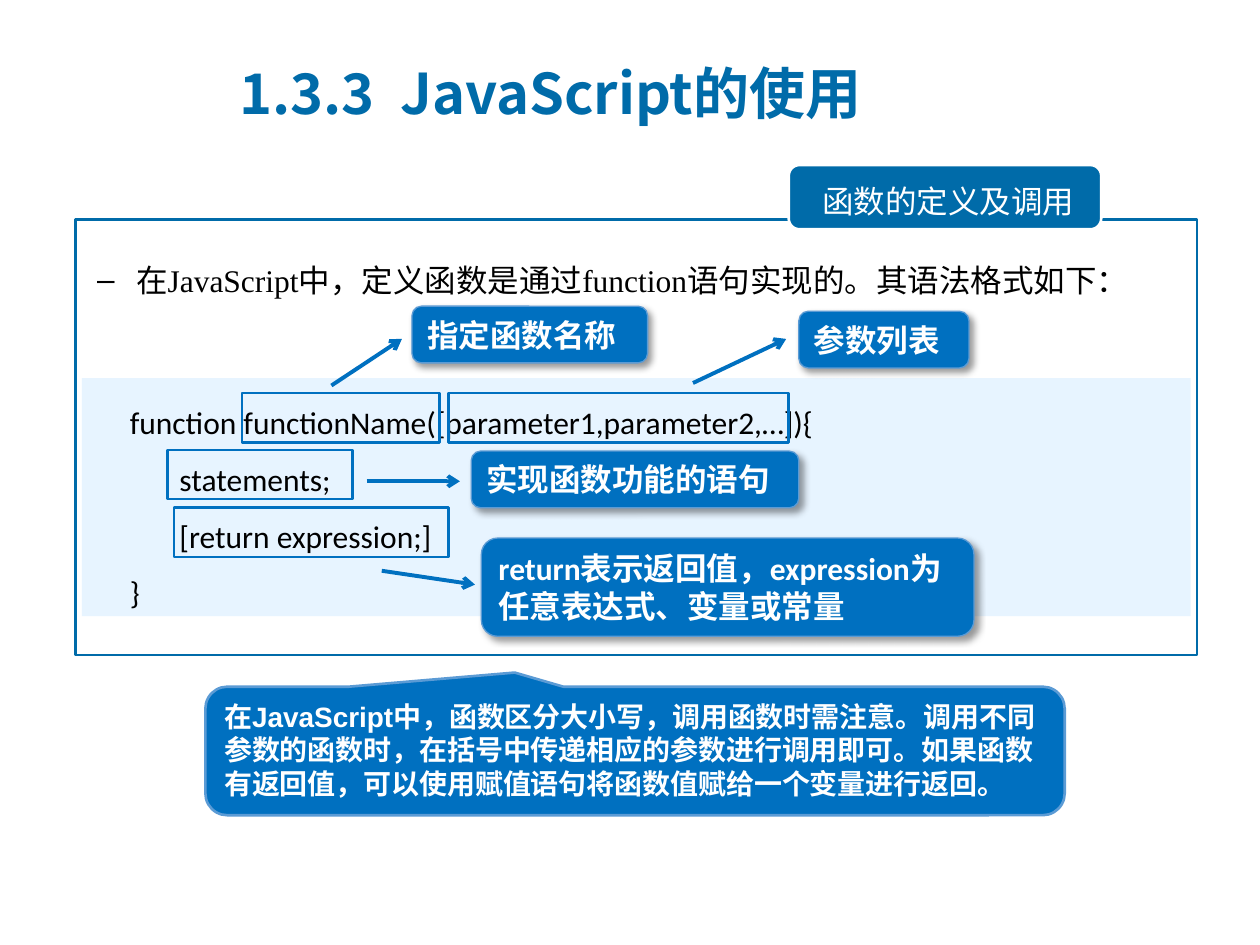
from dataclasses import dataclass

from lxml import etree
from pptx import Presentation
from pptx.dml.color import RGBColor
from pptx.enum.shapes import MSO_CONNECTOR, MSO_SHAPE
from pptx.enum.text import MSO_ANCHOR, MSO_AUTO_SIZE, PP_ALIGN
from pptx.oxml.ns import qn
from pptx.util import Inches, Pt

RECTANGLE = MSO_SHAPE.RECTANGLE
ROUNDED = MSO_SHAPE.ROUNDED_RECTANGLE
CALLOUT = MSO_SHAPE.ROUNDED_RECTANGULAR_CALLOUT
STRAIGHT = MSO_CONNECTOR.STRAIGHT
TOP, MIDDLE = MSO_ANCHOR.TOP, MSO_ANCHOR.MIDDLE
LEFT = PP_ALIGN.LEFT
NO_AUTOFIT = MSO_AUTO_SIZE.NONE

WHITE = RGBColor(0xFF, 0xFF, 0xFF)
BLACK = RGBColor(0x00, 0x00, 0x00)
TITLE_BLUE = RGBColor(0x00, 0x6B, 0xA9)
NOTE_BLUE = RGBColor(0x00, 0x70, 0xC0)
EDGE_BLUE = RGBColor(0x5B, 0x9B, 0xD5)
CODE_BLUE = RGBColor(0xE7, 0xF4, 0xFF)
CJK_FONT = "Noto Sans CJK SC"


@dataclass(frozen=True)
class Area:
    left: float
    top: float
    width: float
    height: float

    def lengths(self):
        return [Inches(n) for n in (self.left, self.top, self.width, self.height)]


@dataclass(frozen=True)
class Style:
    font: str
    size: int
    color: RGBColor
    bold: bool = False
    spacing: float = 1.0


@dataclass(frozen=True)
class Note:
    text: str
    area: Area


@dataclass(frozen=True)
class Arrow:
    start: tuple[float, float]
    end: tuple[float, float]


NOTE_STYLE = Style("Calibri", 18, WHITE, True)
CODE = """     function functionName([parameter1,parameter2,…]){
            statements;
            [return expression;]
     }"""
CODE_FRAMES = [
    Area(1.92, 3.12, 1.57, 0.39),
    Area(3.56, 3.12, 2.7, 0.39),
    Area(1.33, 3.57, 1.47, 0.39),
    Area(1.38, 4.03, 2.18, 0.39),
]
ARROWS = [
    Arrow((2.63, 3.06), (3.19, 2.69)),
    Arrow((5.5, 3.04), (6.24, 2.69)),
    Arrow((2.91, 3.82), (3.65, 3.82)),
    Arrow((3.03, 4.53), (3.77, 4.64)),
]
NOTES = [
    Note("指定函数名称", Area(3.27, 2.43, 1.87, 0.45)),
    Note("参数列表", Area(6.34, 2.47, 1.35, 0.45)),
    Note("实现函数功能的语句", Area(3.74, 3.58, 2.6, 0.45)),
    Note("return表示返回值，expression为任意表达式、变量或常量", Area(3.82, 4.27, 3.91, 0.78)),
]


def write(box, text: str, style: Style, anchor=TOP) -> None:
    frame = box.text_frame
    frame.text = text
    frame.word_wrap = True
    frame.auto_size = NO_AUTOFIT
    frame.vertical_anchor = anchor
    for para in frame.paragraphs:
        para.alignment = LEFT
        para.line_spacing = style.spacing
        para.space_before = Pt(0)
        for span in para.runs:
            span.font.name = style.font
            span.font.size = Pt(style.size)
            span.font.bold = style.bold
            span.font.color.rgb = style.color
            properties = span.font._element
            etree.SubElement(properties, qn("a:ea"), typeface=CJK_FONT)


def hang(box, indent: float, bullet: str = "") -> None:
    properties = box.text_frame.paragraphs[0]._p.get_or_add_pPr()
    properties.set("marL", str(Inches(indent)))
    properties.set("indent", str(-Inches(indent)))
    if bullet:
        etree.SubElement(properties, qn("a:buChar"), char=bullet)


def place(box, area: Area) -> None:
    box.left, box.top, box.width, box.height = area.lengths()


def add_box(page, kind, area: Area, fill=None, line=None, weight: float = 1.5):
    box = page.shapes.add_shape(kind, *area.lengths())
    box.shadow.inherit = False
    if fill is None:
        box.fill.background()
    else:
        box.fill.solid()
        box.fill.fore_color.rgb = fill
    if line is None:
        box.line.fill.background()
    else:
        box.line.color.rgb = line
        box.line.width = Pt(weight)
    return box


def add_note(page, note: Note) -> None:
    box = add_box(page, ROUNDED, note.area, NOTE_BLUE, EDGE_BLUE, 0.75)
    write(box, note.text, NOTE_STYLE, MIDDLE)
    effects = box._element.spPr.find(qn("a:effectLst"))
    shadow = etree.SubElement(
        effects, qn("a:outerShdw"), blurRad=str(Pt(4)), dist=str(Pt(3)),
        dir="2700000", algn="tl", rotWithShape="0")
    color = etree.SubElement(shadow, qn("a:srgbClr"), val=str(BLACK))
    etree.SubElement(color, qn("a:alpha"), val="40000")


def add_arrow(page, arrow: Arrow) -> None:
    points = [Inches(n) for n in arrow.start + arrow.end]
    connector = page.shapes.add_connector(STRAIGHT, *points)
    connector.line.color.rgb = NOTE_BLUE
    connector.line.width = Pt(2.25)
    etree.SubElement(connector.line._get_or_add_ln(), qn("a:tailEnd"), type="arrow")
    etree.SubElement(connector._element.spPr, qn("a:effectLst"))


def main() -> None:
    deck = Presentation()
    deck.slide_width, deck.slide_height = Inches(10), Inches(7.5)
    page = deck.slides.add_slide(deck.slide_layouts[1])

    title, body = page.shapes.title, page.placeholders[1]
    place(title, Area(1.8, 0.43, 7.3, 0.61))
    write(title, "1.3.3  JavaScript的使用", Style(CJK_FONT, 32, TITLE_BLUE, True), MIDDLE)
    hang(title, 0.62)
    place(body, Area(0.67, 1.87, 8.79, 0.56))
    write(body, "在JavaScript中，定义函数是通过function语句实现的。其语法格式如下：",
          Style("Times New Roman", 18, BLACK, spacing=1.5))
    hang(body, 0.31, "–")

    panel = add_box(page, RECTANGLE, Area(0.6, 1.74, 8.9, 3.46), WHITE, TITLE_BLUE)
    title._element.addprevious(panel._element)

    code = add_box(page, RECTANGLE, Area(0.65, 3, 8.8, 1.89), CODE_BLUE)
    write(code, CODE, Style("Calibri", 18, BLACK, spacing=1.5))

    tab = add_box(page, ROUNDED, Area(6.26, 1.31, 2.48, 0.51), TITLE_BLUE, WHITE)
    write(tab, "函数的定义及调用", Style(CJK_FONT, 18, WHITE))
    tab.text_frame.margin_left = Inches(0.24)
    tab.text_frame.margin_right = Inches(0)
    tab.text_frame.margin_top = Inches(0.11)

    for frame in CODE_FRAMES:
        add_box(page, RECTANGLE, frame, line=NOTE_BLUE)
    for arrow in ARROWS:
        add_arrow(page, arrow)
    for note in NOTES:
        add_note(page, note)

    callout = add_box(page, CALLOUT, Area(1.63, 5.45, 6.82, 1.02), NOTE_BLUE, EDGE_BLUE)
    for index, value in enumerate((-0.14, -0.61, 0.17)):
        callout.adjustments[index] = value
    write(callout, "在JavaScript中，函数区分大小写，调用函数时需注意。调用不同参数的函数时，"
          "在括号中传递相应的参数进行调用即可。如果函数有返回值，"
          "可以使用赋值语句将函数值赋给一个变量进行返回。", Style("Arial", 16, WHITE, True))

    deck.save("out.pptx")


if __name__ == "__main__":
    main()
